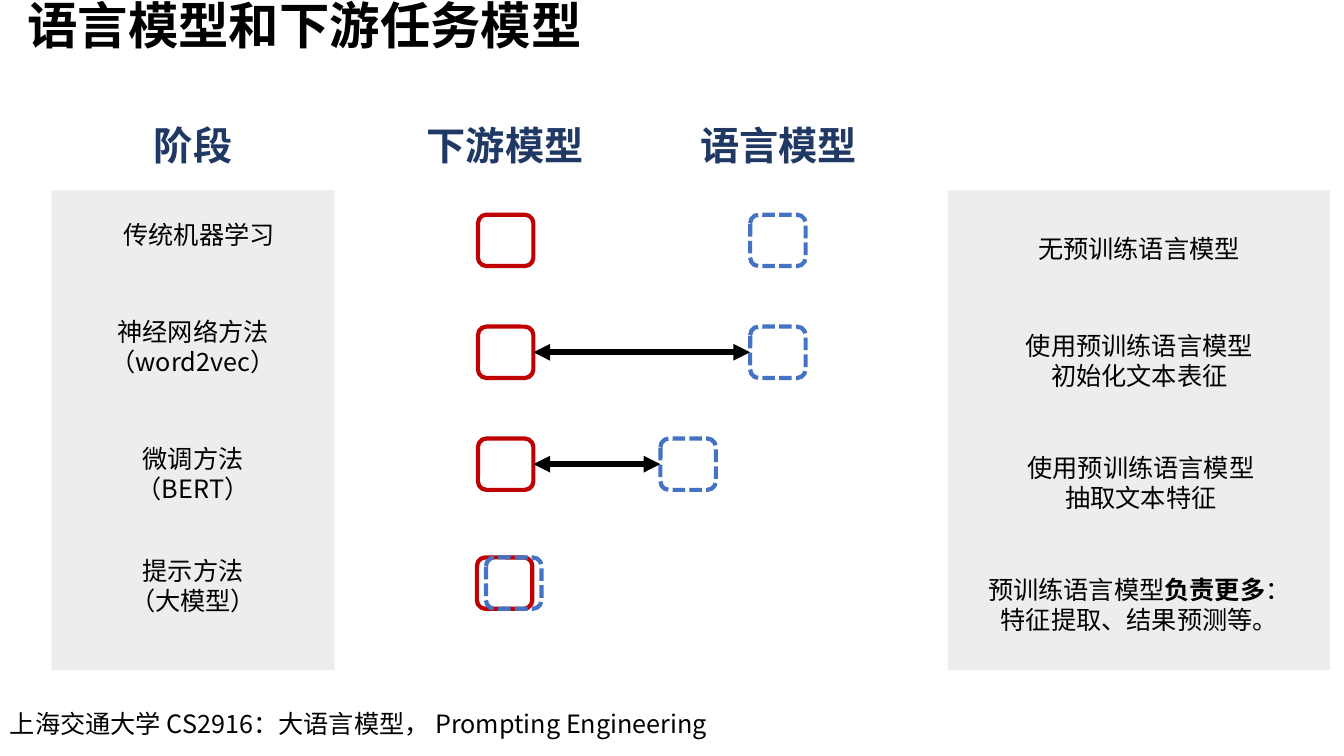
from lxml.etree import SubElement
from pptx import Presentation
from pptx.dml.color import RGBColor as RGB
from pptx.enum.dml import MSO_LINE_DASH_STYLE as DASH
from pptx.enum.shapes import MSO_CONNECTOR as CONN, MSO_SHAPE as SHAPE
from pptx.enum.text import MSO_ANCHOR as ANCHOR, MSO_AUTO_SIZE as AUTO, PP_ALIGN as ALIGN
from pptx.oxml.ns import qn
from pptx.util import Inches, Pt

FONT = "Noto Sans CJK SC"
COLORS = {"text": "000000", "head": "203864", "panel": "EDEDED",
          "task": "C00000", "lm": "4472C4"}

prs = Presentation()
prs.slide_width, prs.slide_height = Inches(13.33), Inches(7.5)
slide = prs.slides.add_slide(prs.slide_layouts[5])
shapes = slide.shapes


def write(sp, lines, size=18, color="text", bold=False, align=ALIGN.CENTER):
    tf = sp.text_frame
    tf.word_wrap = True
    tf.text = "\n".join(lines)
    for p in tf.paragraphs:
        p.alignment = align
        head, mark, tail = p.text.partition("负责更多")
        if mark:
            p.clear()
            for part in (head, mark, tail):
                p.add_run().text = part
        for r in p.runs:
            r.font.size = Pt(size)
            r.font.bold = bold or r.text == mark
            r.font.color.rgb = RGB.from_string(COLORS[color])
            r.font.name = FONT
            SubElement(r.font._element, qn("a:ea"), typeface=FONT)


def add_box(kind, x, y, w, h, fill=None, line=None):
    sp = shapes.add_shape(kind, Inches(x), Inches(y), Inches(w), Inches(h))
    sp.shadow.inherit = False
    if fill:
        sp.fill.solid()
        sp.fill.fore_color.rgb = RGB.from_string(COLORS[fill])
    else:
        sp.fill.background()
    if line:
        sp.line.color.rgb = RGB.from_string(COLORS[line])
        sp.line.width = Pt(3)
    else:
        sp.line.fill.background()
    return sp


title = shapes.title
title.left, title.top = Inches(0.17), Inches(0.01)
title.width, title.height = Inches(9.81), Inches(0.53)
write(title, ["语言模型和下游任务模型"], 36, bold=True, align=ALIGN.LEFT)
title.text_frame.auto_size = AUTO.NONE
title.text_frame.vertical_anchor = ANCHOR.MIDDLE
title.text_frame.paragraphs[0].line_spacing = 0.9

STAGE_X, STAGE_W = 0.51, 2.81
NOTE_X, NOTE_W = 9.4, 3.79
BOX_W, BOX_H = 0.55, 0.51

for x, w, text in [(STAGE_X, STAGE_W, "阶段"), (4.11, 1.8, "下游模型"), (6.82, 1.8, "语言模型")]:
    tb = shapes.add_textbox(Inches(x), Inches(1.15), Inches(w), Inches(0.57))
    write(tb, [text], 28, "head", True)

for x, w in [(STAGE_X, STAGE_W), (NOTE_X, NOTE_W)]:
    add_box(SHAPE.RECTANGLE, x, 1.89, w, 4.76, fill="panel")

rows = [
    (2.13, 4.74, 7.44, False,
     (0.63, 2.13, 2.69, ["传统机器学习"]),
     (NOTE_X, 2.27, NOTE_W, ["无预训练语言模型"])),
    (3.24, 4.74, 7.44, True,
     (STAGE_X, 3.09, STAGE_W, ["神经网络方法", "（word2vec）"]),
     (9.6, 3.23, 3.4, ["使用预训练语言模型", "初始化文本表征"])),
    (4.35, 4.74, 6.55, True,
     (STAGE_X, 4.35, STAGE_W, ["微调方法", "（BERT）"]),
     (9.8, 4.44, 3.03, ["使用预训练语言模型", "抽取文本特征"])),
    (5.53, 4.73, 4.82, False,
     (STAGE_X, 5.46, STAGE_W, ["提示方法", "（大模型）"]),
     (9.6, 5.65, 3.4, ["预训练语言模型负责更多：特征提取、结果预测等。"])),
]
for y, task_x, lm_x, linked, *labels in rows:
    for x, top, w, lines in labels:
        h = 0.4 if y == rows[0][0] else 0.71
        tb = shapes.add_textbox(Inches(x), Inches(top), Inches(w), Inches(h))
        write(tb, lines)
    task = add_box(SHAPE.ROUNDED_RECTANGLE, task_x, y, BOX_W, BOX_H, line="task")
    lm = add_box(SHAPE.ROUNDED_RECTANGLE, lm_x, y, BOX_W, BOX_H, line="lm")
    lm.line.dash_style = DASH.SQUARE_DOT
    if linked:
        link = shapes.add_connector(CONN.STRAIGHT, 0, 0, 0, 0)
        link.begin_connect(task, 3)
        link.end_connect(lm, 1)
        link.line.color.rgb = RGB.from_string(COLORS["text"])
        link.line.width = Pt(4)
        ln = link.line._get_or_add_ln()
        for end in ("a:headEnd", "a:tailEnd"):
            SubElement(ln, qn(end), type="triangle")
        SubElement(link._element.spPr, qn("a:effectLst"))

footer = shapes.add_textbox(0, Inches(6.98), Inches(8.79), Inches(0.4))
write(footer, ["上海交通大学 CS2916：大语言模型， Prompting Engineering"], align=ALIGN.LEFT)

prs.save("out.pptx")
